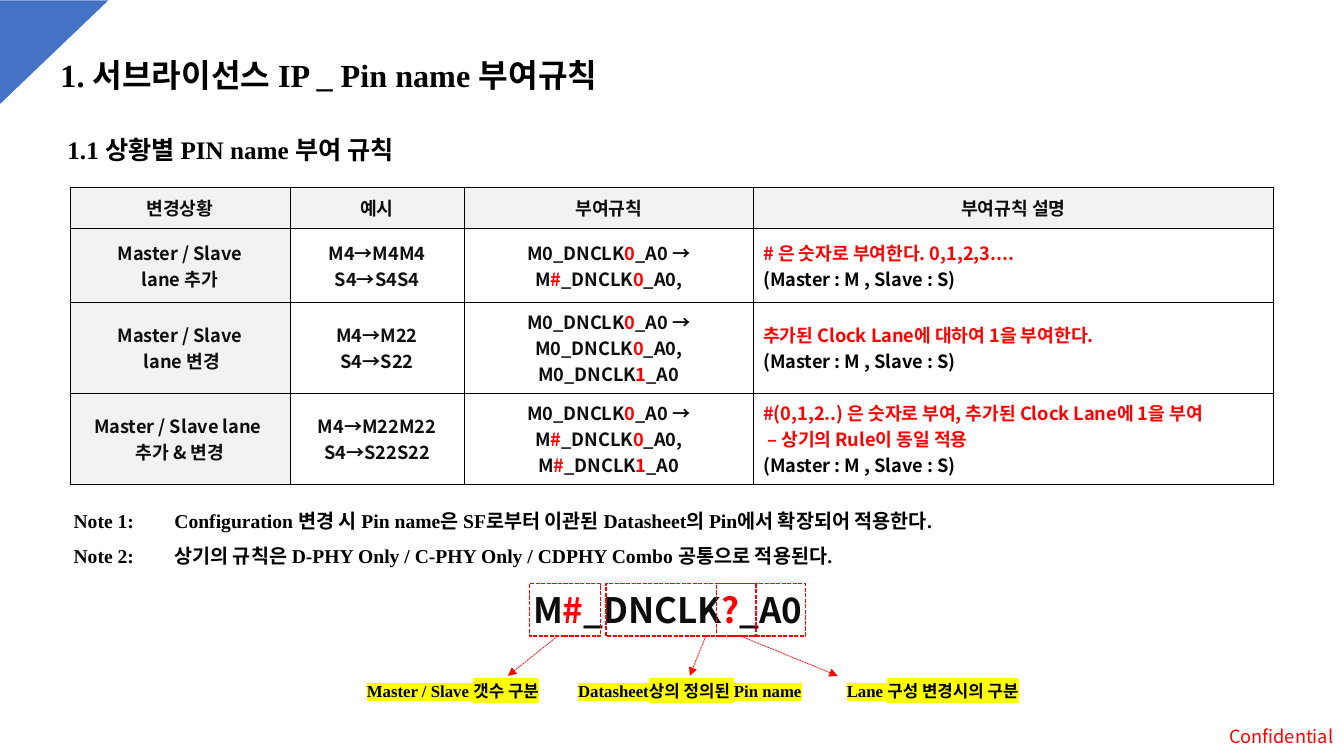
from dataclasses import dataclass

from lxml.etree import SubElement
from pptx import Presentation
from pptx.dml.color import RGBColor
from pptx.enum.dml import MSO_LINE
from pptx.enum.shapes import MSO_CONNECTOR, MSO_SHAPE
from pptx.enum.text import MSO_ANCHOR, MSO_AUTO_SIZE, PP_ALIGN
from pptx.oxml.ns import qn
from pptx.util import Cm, Pt

SANS, SERIF = "Noto Sans CJK KR", "Times New Roman"
BLACK, INK, RED, YELLOW = "000000", "0D0D0D", "FF0000", "FFFF00"
WHITE, GREY, BLUE = "FFFFFF", "F2F2F2", "4472C4"
CODE_TOP, CODE_HEIGHT = 14.71, 1.32
LABEL_TOP = 17.03


@dataclass
class TextStyle:
    size: float
    font: str = SERIF
    color: str = BLACK
    bold: bool = True
    align: PP_ALIGN = PP_ALIGN.LEFT
    highlight: str = ""
    line_spacing: float = 1.0


@dataclass
class PinPart:
    """A framed part of the pin name, its arrow and its label."""
    left: float
    width: float
    arrow_start: float
    arrow_end: float
    label: str
    label_left: float
    label_width: float


def rgb(hex_color: str) -> RGBColor:
    return RGBColor.from_string(hex_color)


def format_run(run, style: TextStyle, color: str) -> None:
    font = run.font
    font.size, font.bold, font.name = Pt(style.size), style.bold, style.font
    font.color.rgb = rgb(color)
    properties = run._r.get_or_add_rPr()
    if style.highlight:
        mark = SubElement(properties, qn("a:highlight"))
        SubElement(mark, qn("a:srgbClr"), val=style.highlight)
        properties.find(qn("a:solidFill")).addnext(mark)
    SubElement(properties, qn("a:ea"), typeface=SANS)


def write(frame, lines: list[str], style: TextStyle) -> None:
    """Write one paragraph a line; parts in [brackets] turn red."""
    for number, line in enumerate(lines):
        paragraph = frame.add_paragraph() if number else frame.paragraphs[0]
        paragraph.alignment = style.align
        paragraph.line_spacing = style.line_spacing
        paragraph.space_before = Pt(0)
        for index, part in enumerate(line.replace("]", "[").split("[")):
            if part:
                run = paragraph.add_run()
                run.text = part
                format_run(run, style, RED if index % 2 else style.color)


def place(shape, left: float, top: float, width: float, height: float) -> None:
    shape.left, shape.top = Cm(left), Cm(top)
    shape.width, shape.height = Cm(width), Cm(height)
    frame = shape.text_frame
    frame.word_wrap, frame.auto_size = True, MSO_AUTO_SIZE.NONE
    frame.vertical_anchor = MSO_ANCHOR.TOP


def add_text(slide, left: float, top: float, width: float, height: float,
             text: str, style: TextStyle):
    box = slide.shapes.add_textbox(0, 0, 0, 0)
    place(box, left, top, width, height)
    write(box.text_frame, [text], style)
    return box


def add_borders(cell) -> None:
    properties = cell._tc.get_or_add_tcPr()
    for side in ("a:lnL", "a:lnR", "a:lnT", "a:lnB"):
        border = SubElement(properties, qn(side), w=str(Pt(0.25)))
        fill = SubElement(border, qn("a:solidFill"))
        SubElement(fill, qn("a:srgbClr"), val=BLACK)


def add_rule_table(slide) -> None:
    widths, heights = [5.54, 4.4, 7.28, 13.11], [1.04, 1.85, 2.29, 2.31]
    table = slide.shapes.add_table(
        len(heights), len(widths), Cm(1.76), Cm(4.72),
        Cm(sum(widths)), Cm(sum(heights))).table
    table.horz_banding = False
    for column, width in zip(table.columns, widths):
        column.width = Cm(width)
    for row, height in zip(table.rows, heights):
        row.height = Cm(height)
    for r, texts in enumerate(RULES):
        for c, lines in enumerate(texts):
            cell = table.cell(r, c)
            add_borders(cell)
            cell.fill.solid()
            cell.fill.fore_color.rgb = rgb(GREY if r == 0 or c == 0 else WHITE)
            cell.vertical_anchor = MSO_ANCHOR.MIDDLE
            explained = r > 0 and c == 3
            write(cell.text_frame, lines, TextStyle(
                13, SANS, BLACK if explained else INK,
                align=PP_ALIGN.LEFT if explained else PP_ALIGN.CENTER))


def add_pin_part(slide, part: PinPart) -> None:
    frame = slide.shapes.add_shape(
        MSO_SHAPE.RECTANGLE, Cm(part.left), Cm(CODE_TOP),
        Cm(part.width), Cm(CODE_HEIGHT))
    frame.shadow.inherit = False
    frame.fill.background()
    label = add_text(slide, part.label_left, LABEL_TOP, part.label_width, 0.76,
                     part.label, LABEL_STYLE)
    arrow = slide.shapes.add_connector(
        MSO_CONNECTOR.STRAIGHT, Cm(part.arrow_start), Cm(CODE_TOP + CODE_HEIGHT),
        Cm(part.arrow_end), Cm(LABEL_TOP))
    for outlined, weight in ((frame, 1), (arrow, 0.5)):
        outlined.line.color.rgb = rgb(RED)
        outlined.line.width = Pt(weight)
        outlined.line.dash_style = MSO_LINE.SQUARE_DOT
    SubElement(arrow.line._get_or_add_ln(), qn("a:tailEnd"), type="triangle")
    SubElement(arrow._element.spPr, qn("a:effectLst"))
    # Join the ends that meet the middle of a side
    if abs(part.left + part.width / 2 - part.arrow_start) < 0.05:
        arrow.begin_connect(frame, 2)
    if abs(part.label_left + part.label_width / 2 - part.arrow_end) < 0.05:
        arrow.end_connect(label, 0)


LABEL_STYLE = TextStyle(12, align=PP_ALIGN.CENTER, highlight=YELLOW)
ROLES = "(Master : M , Slave : S)"
RULES = [
    [["변경상황"], ["예시"], ["부여규칙"], ["부여규칙 설명"]],
    [["Master / Slave", " lane 추가 "], ["M4→M4M4", "S4→S4S4"],
     ["M0_DNCLK[0]_A0 → M[#]_DNCLK[0]_A0,"],
     ["[# 은 숫자로 부여한다. 0,1,2,3....]", ROLES]],
    [["Master / Slave", " lane 변경"], ["M4→M22", "S4→S22"],
     ["M0_DNCLK[0]_A0 → M0_DNCLK[0]_A0,", "M0_DNCLK[1]_A0"],
     ["[추가된 Clock Lane에 대하여 1을 부여한다.]", ROLES]],
    [["Master / Slave lane ", "추가 & 변경"], ["M4→M22M22", "S4→S22S22"],
     ["M0_DNCLK[0]_A0 →", "M[#]_DNCLK[0]_A0,", "M[#]_DNCLK[1]_A0"],
     ["[#(0,1,2..) 은 숫자로 부여, 추가된 Clock Lane에 1을 부여]",
      "[ – 상기의 Rule이 동일 적용]", ROLES]],
]
NOTES = [
    "Note 1:\tConfiguration 변경 시 Pin name은 SF로부터 이관된 Datasheet의 Pin에서 확장되어 적용한다.",
    "Note 2:\t상기의 규칙은 D-PHY Only / C-PHY Only / CDPHY Combo 공통으로 적용된다.",
]
PIN_PARTS = [
    PinPart(13.34, 1.8, 14.05, 12.8, "Master / Slave 갯수 구분", 8.61, 5.61),
    PinPart(15.27, 5.03, 17.78, 17.38, "Datasheet상의 정의된 Pin name", 14.07, 6.63),
    PinPart(18.06, 0.99, 18.67, 21.11, "Lane 구성 변경시의 구분", 20.7, 5.61),
]


def main() -> None:
    deck = Presentation()
    deck.slide_width, deck.slide_height = Cm(33.87), Cm(19.05)
    slide = deck.slides.add_slide(deck.slide_layouts[1])
    title, notes = slide.placeholders

    # Corner and confidentiality mark
    corner = slide.shapes.add_shape(
        MSO_SHAPE.RIGHT_TRIANGLE, Cm(0.05), Cm(-0.05), Cm(2.62), Cm(2.74))
    corner.rotation = 90
    corner.shadow.inherit = False
    corner.fill.solid()
    corner.fill.fore_color.rgb = rgb(BLUE)
    corner.line.fill.background()
    slide.shapes._spTree.insert(2, corner._element)
    add_text(slide, 27.58, 18.16, 6.27, 0.81, "Confidential",
             TextStyle(13, SANS, RED, bold=False, align=PP_ALIGN.RIGHT))

    # Headings
    place(title, 1.27, 1.27, 17.1, 1.24)
    write(title.text_frame, ["1. 서브라이선스 IP _ Pin name 부여규칙"], TextStyle(23))
    add_text(slide, 1.45, 3.25, 13.44, 1.02, "1.1 상황별 PIN name 부여 규칙",
             TextStyle(18))

    # Naming rules and notes
    add_rule_table(slide)
    place(notes, 1.6, 12.4, 30.5, 1.93)
    write(notes.text_frame, NOTES, TextStyle(14, line_spacing=1.5))
    for paragraph in notes.text_frame.paragraphs:
        properties = paragraph._p.get_or_add_pPr()
        properties.set("marL", "0")
        properties.set("indent", "0")
        SubElement(properties, qn("a:buNone"))
        tabs = SubElement(properties, qn("a:tabLst"))
        SubElement(tabs, qn("a:tab"), pos=str(Cm(1.8)), algn="l")

    # Pin name and its parts
    add_text(slide, 1.68, CODE_TOP, 30.5, CODE_HEIGHT, "M[#]_DNCLK[?]_A0 ",
             TextStyle(25, SANS, INK, align=PP_ALIGN.CENTER))
    for part in PIN_PARTS:
        add_pin_part(slide, part)

    deck.save("out.pptx")


if __name__ == "__main__":
    main()
